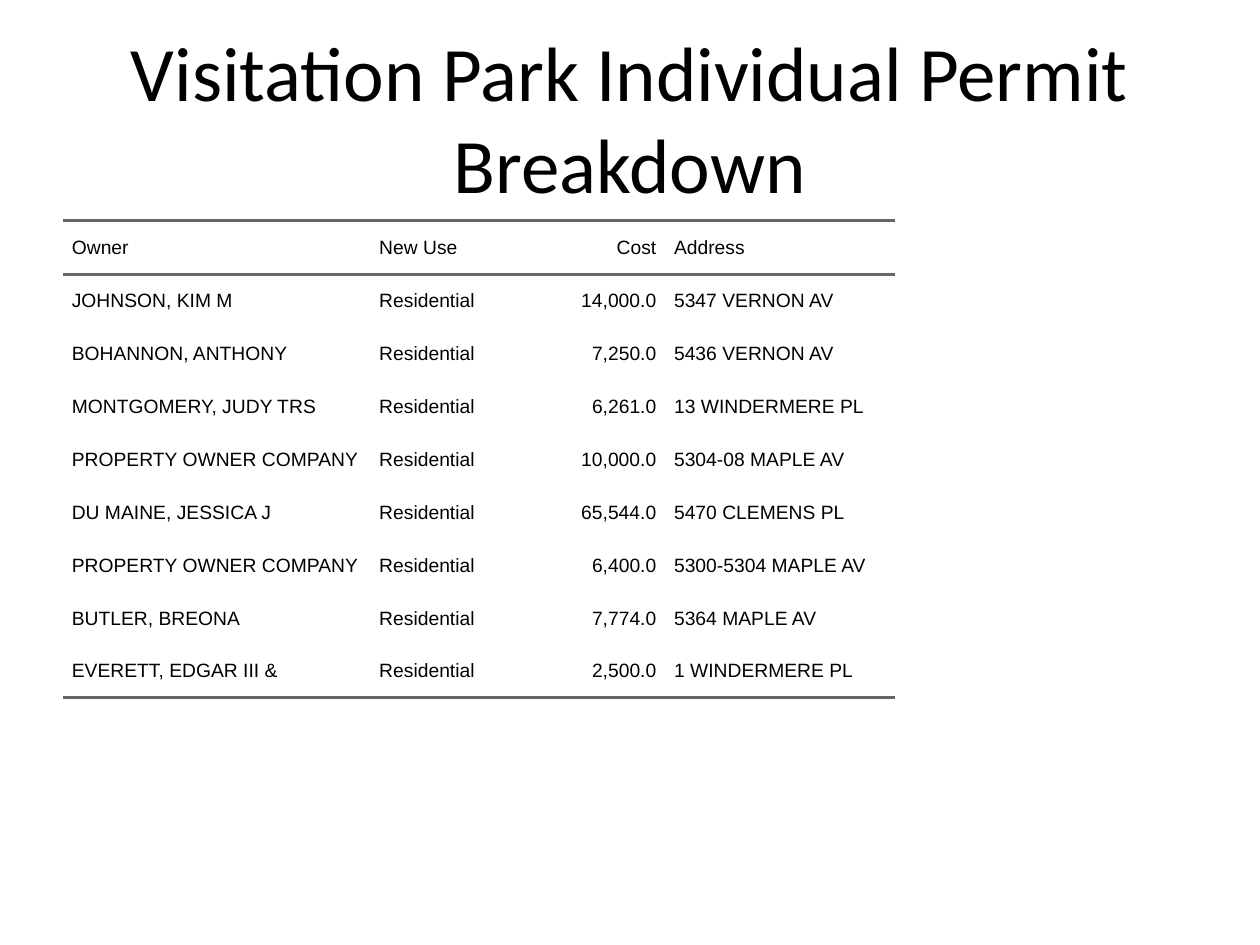
from lxml import etree
from pptx import Presentation
from pptx.dml.color import RGBColor
from pptx.enum import text
from pptx.oxml.ns import qn
from pptx.util import Inches, Pt

BLACK = RGBColor(0x00, 0x00, 0x00)
RULE = RGBColor(0x66, 0x66, 0x66)
NO_STYLE = "{2D5ABB26-0587-4C30-8999-92F81FD0307C}"
INDENT = Inches(0.07)
COLUMN_WIDTHS = [2.44, 1.04, 1.3, 1.82]
HEADER_HEIGHT, ROW_HEIGHT = 0.43, 0.42
COST = 2  # the right-aligned column

HEADER = ["Owner", "New Use", "Cost", "Address"]
PERMITS = [
    ("JOHNSON, KIM M", "14,000.0", "5347 VERNON AV"),
    ("BOHANNON, ANTHONY", "7,250.0", "5436 VERNON AV"),
    ("MONTGOMERY, JUDY TRS", "6,261.0", "13 WINDERMERE PL"),
    ("PROPERTY OWNER COMPANY", "10,000.0", "5304-08 MAPLE AV"),
    ("DU MAINE, JESSICA J", "65,544.0", "5470 CLEMENS PL"),
    ("PROPERTY OWNER COMPANY", "6,400.0", "5300-5304 MAPLE AV"),
    ("BUTLER, BREONA", "7,774.0", "5364 MAPLE AV"),
    ("EVERETT, EDGAR III &", "2,500.0", "1 WINDERMERE PL"),
]


def style_font(p, name, size):
    for r in p.runs:
        r.font.name = name
        r.font.size = Pt(size)
        r.font.color.rgb = BLACK


def add_title(s, title):
    sp = s.shapes.title
    sp.left, sp.top, sp.width, sp.height = map(Inches, (0.5, 0.3, 9, 1.25))
    tf = sp.text_frame
    tf.text = title
    tf.word_wrap = True
    tf.auto_size = text.MSO_AUTO_SIZE.NONE
    tf.vertical_anchor = text.MSO_ANCHOR.MIDDLE
    p = tf.paragraphs[0]
    p.alignment = text.PP_ALIGN.CENTER
    style_font(p, "Calibri", 44)


def add_border(cell, tag):
    ln = etree.SubElement(cell._tc.get_or_add_tcPr(), qn(tag), w=str(Pt(2)))
    fill = etree.SubElement(ln, qn("a:solidFill"))
    etree.SubElement(fill, qn("a:srgbClr"), val=str(RULE))


def fill_cell(cell, value, align, borders):
    cell.text = value
    cell.margin_left = cell.margin_right = 0
    cell.margin_top = cell.margin_bottom = 0
    cell.vertical_anchor = text.MSO_ANCHOR.MIDDLE
    p = cell.text_frame.paragraphs[0]
    p.alignment = align
    p.space_before = p.space_after = Pt(5)
    pPr = p._p.get_or_add_pPr()
    for side in ("marL", "marR"):
        pPr.set(side, str(INDENT))
    style_font(p, "Arial", 11)
    for tag in borders:
        add_border(cell, tag)
    cell.fill.background()


def add_permit_table(s):
    rows = [HEADER] + [(owner, "Residential", cost, address)
                       for owner, cost, address in PERMITS]
    heights = [HEADER_HEIGHT] + [ROW_HEIGHT] * len(PERMITS)
    tbl = s.shapes.add_table(
        len(rows), len(HEADER), Inches(0.5), Inches(1.75),
        Inches(sum(COLUMN_WIDTHS)), Inches(sum(heights))).table
    tbl.first_row = tbl.horz_banding = False
    tbl._tbl.tblPr.find(qn("a:tableStyleId")).text = NO_STYLE
    for column, width in zip(tbl.columns, COLUMN_WIDTHS):
        column.width = Inches(width)
    # Rules enclose the header and close the last row
    borders = {0: ("a:lnT", "a:lnB"), len(rows) - 1: ("a:lnB",)}
    for i, values in enumerate(rows):
        tbl.rows[i].height = Inches(heights[i])
        for j, value in enumerate(values):
            align = text.PP_ALIGN.RIGHT if j == COST else text.PP_ALIGN.LEFT
            fill_cell(tbl.cell(i, j), value, align, borders.get(i, ()))


def main():
    prs = Presentation()
    prs.slide_width, prs.slide_height = Inches(10), Inches(7.5)
    s = prs.slides.add_slide(prs.slide_layouts[5])
    add_title(s, "Visitation Park Individual Permit Breakdown")
    add_permit_table(s)
    prs.save("out.pptx")


if __name__ == "__main__":
    main()
